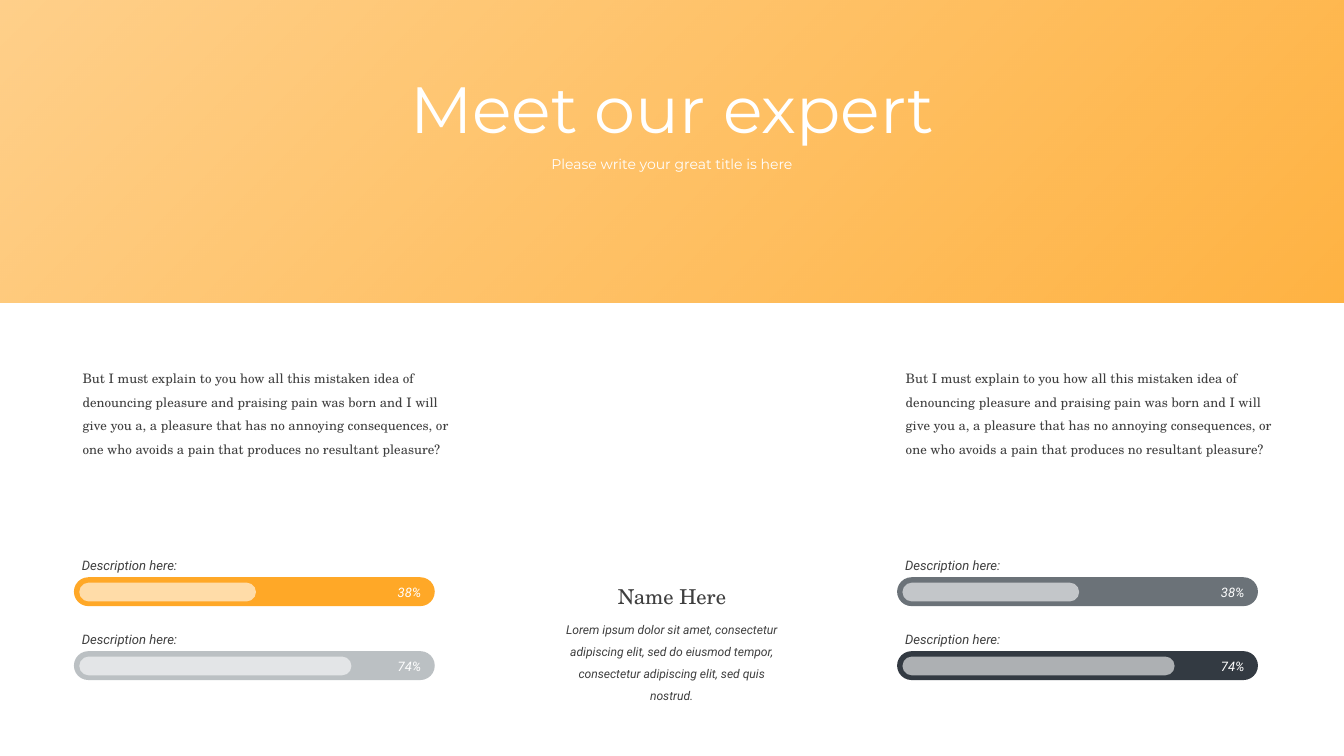
from dataclasses import dataclass

from lxml.etree import SubElement
from pptx import Presentation
from pptx.dml.color import RGBColor
from pptx.enum.shapes import MSO_SHAPE as Preset
from pptx.enum.text import MSO_ANCHOR as Anchor, MSO_AUTO_SIZE as AutoSize, PP_ALIGN as Align
from pptx.oxml.ns import qn
from pptx.util import Inches, Pt


@dataclass(frozen=True)
class Theme:
    orange: str = "FFA827"
    silver: str = "BBC0C3"
    gray: str = "6B7278"
    slate: str = "333A42"
    white: str = "FFFFFF"
    ink: str = "3F3F3F"
    display: str = "Montserrat"
    serif: str = "TeX Gyre Schola"
    sans: str = "Roboto"
    title: int = 70
    name: int = 22
    subtitle: int = 15
    body: int = 14
    caption: int = 13


THEME = Theme()
WIDTH, HEIGHT = 20, 11.25
COLUMN_LEFTS = (1.1, 13.35)
BAR_TOP, BAR_STEP = 8.59, 1.1
BAR_WIDTH, BAR_HEIGHT = 5.37, 0.43
INTRO = (
    "But I must explain to you how all this mistaken idea of denouncing pleasure "
    "and praising pain was born and I will give you a, a pleasure that has no "
    "annoying consequences, or one who avoids a pain that produces no resultant pleasure?"
)
BIO = (
    "Lorem ipsum dolor sit amet, consectetur adipiscing elit, sed do eiusmod tempor, "
    "consectetur adipiscing elit, sed quis nostrud."
)
# Label and length of the inner bar for each row; the two columns share them.
SKILLS = (("38%", 2.63), ("74%", 4.05))
BAR_COLORS = ((THEME.orange, THEME.silver), (THEME.gray, THEME.slate))


def set_alpha(color_element, percent):
    SubElement(color_element, qn("a:alpha")).set("val", str(percent * 1000))


def write_text(shape, text, font, size, color=THEME.ink, italic=False,
               align=Align.LEFT, spacing=1.0):
    frame = shape.text_frame
    frame.word_wrap = True
    frame.auto_size = AutoSize.SHAPE_TO_FIT_TEXT
    frame.vertical_anchor = Anchor.TOP
    frame.text = text
    para = frame.paragraphs[0]
    para.alignment = align
    para.line_spacing = spacing
    para.space_before = Pt(0)
    para.font.name = font
    para.font.size = Pt(size)
    para.font.italic = italic
    para.font.color.rgb = RGBColor.from_string(color)


def add_text(slide, left, top, width, height, text, font, size, **style):
    box = slide.shapes.add_textbox(*map(Inches, (left, top, width, height)))
    write_text(box, text, font, size, **style)


def fill_placeholder(shape, top, width, height, text, size):
    """Centre a placeholder on the slide and bring it in front of the banner."""
    shape.left, shape.top = Inches((WIDTH - width) / 2), Inches(top)
    shape.width, shape.height = Inches(width), Inches(height)
    write_text(shape, text, THEME.display, size, color=THEME.white, align=Align.CENTER)
    shape.element.getparent().append(shape.element)


def add_banner(slide):
    banner = slide.shapes.add_shape(
        Preset.RECTANGLE, 0, 0, Inches(WIDTH), Inches(HEIGHT * 0.4))
    banner.shadow.inherit = False
    banner.line.fill.background()
    banner.fill.gradient()
    banner.fill.gradient_angle = 315
    for stop, position, alpha in zip(banner.fill.gradient_stops, (0, 1), (54, 87)):
        stop.position = position
        stop.color.rgb = RGBColor.from_string(THEME.orange)
    for color, alpha in zip(banner.element.spPr.iter(qn("a:srgbClr")), (54, 87)):
        set_alpha(color, alpha)


def add_pill(slide, left, top, width, height, color, alpha=100):
    pill = slide.shapes.add_shape(
        Preset.ROUNDED_RECTANGLE, *map(Inches, (left, top, width, height)))
    pill.adjustments[0] = 0.5
    pill.shadow.inherit = False
    pill.line.fill.background()
    pill.fill.solid()
    pill.fill.fore_color.rgb = RGBColor.from_string(color)
    if alpha < 100:
        set_alpha(next(pill.element.spPr.iter(qn("a:srgbClr"))), alpha)


def add_skill_bar(slide, left, top, label, length, color):
    add_pill(slide, left, top, BAR_WIDTH, BAR_HEIGHT, color)
    add_pill(slide, left + 0.08, top + 0.08, length, 0.28, THEME.white, alpha=60)
    add_text(slide, left + 0.02, top - 0.35, 2.12, 0.34, "Description here:",
             THEME.sans, THEME.body, italic=True)
    add_text(slide, left + 4.72, top + 0.06, 0.57, 0.34, label,
             THEME.sans, THEME.body, color=THEME.white, italic=True)


def add_column(slide, left, colors):
    add_text(slide, left + 0.03, 5.35, 5.73, 1.87, INTRO,
             THEME.serif, THEME.body, spacing=1.5)
    for row, ((label, length), color) in enumerate(zip(SKILLS, colors)):
        add_skill_bar(slide, left, BAR_TOP + row * BAR_STEP, label, length, color)


def add_profile(slide):
    add_text(slide, 8.48, 8.64, 3.04, 0.47, "Name Here",
             THEME.serif, THEME.name, align=Align.CENTER)
    add_text(slide, 8.2, 9.11, 3.59, 1.09, BIO, THEME.sans, THEME.caption,
             italic=True, align=Align.CENTER, spacing=1.5)


def main():
    deck = Presentation()
    deck.slide_width, deck.slide_height = Inches(WIDTH), Inches(HEIGHT)
    slide = deck.slides.add_slide(deck.slide_layouts[0])
    title, subtitle = slide.placeholders

    add_banner(slide)
    add_profile(slide)
    for left, colors in zip(COLUMN_LEFTS, BAR_COLORS):
        add_column(slide, left, colors)
    fill_placeholder(title, 0.97, 10.2, 1.28, "Meet our expert", THEME.title)
    fill_placeholder(subtitle, 2.26, 5.06, 0.35,
                     "Please write your great title is here", THEME.subtitle)
    deck.save("out.pptx")


if __name__ == "__main__":
    main()
